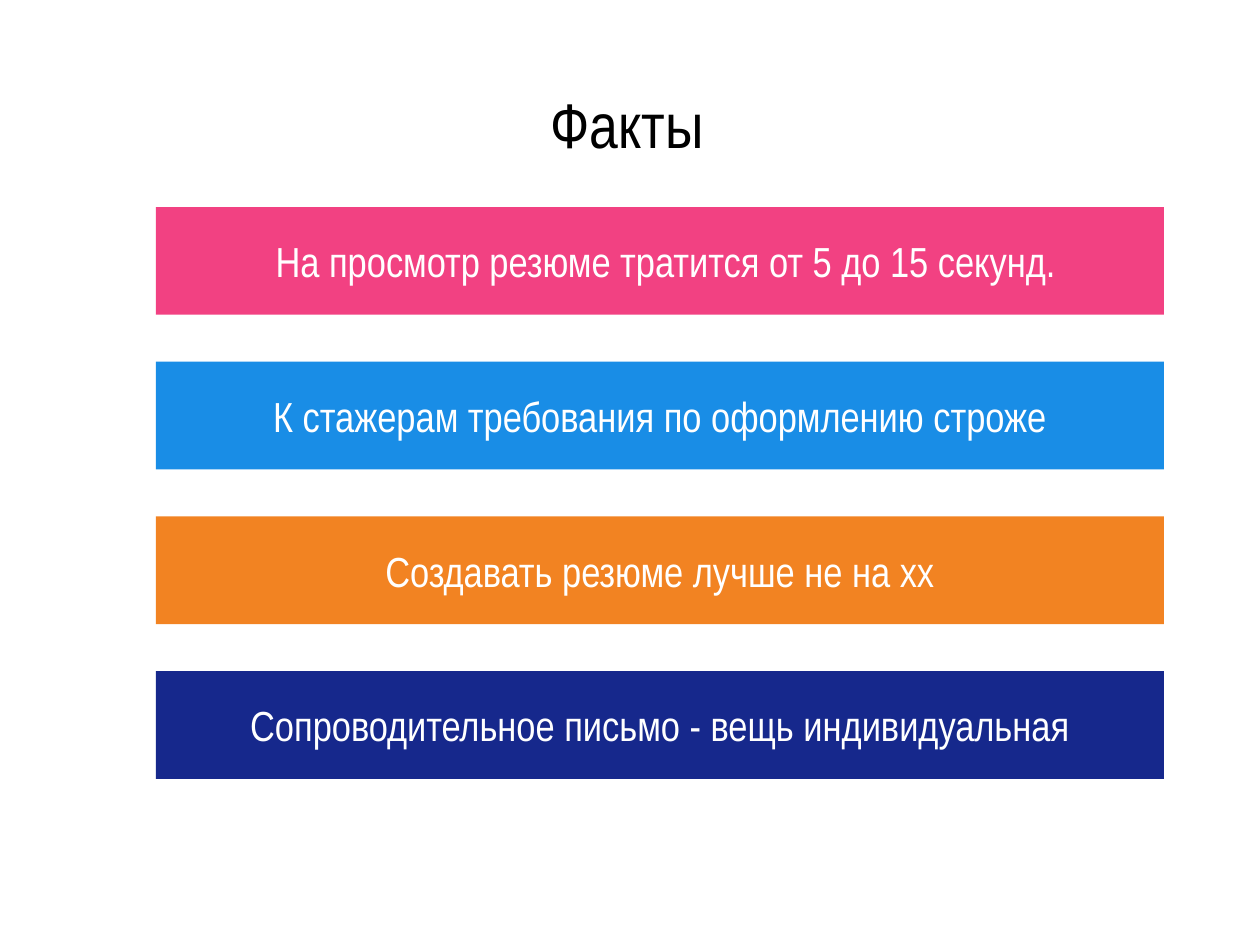
import pptx
import pptx.dml.color
import pptx.enum.shapes
import pptx.enum.text
import pptx.util

EMU_PER_PX = 914400 / 168

THEME = {
    "font": "Arial Narrow",
    "title_size": 27,
    "fact_size": 18,
    "title_color": "000000",
    "fact_color": "FFFFFF",
}

# Wording, bar colour and left indent of each fact, from top to bottom
FACTS = [
    ("На просмотр резюме тратится от 5 до 15 секунд.", "F24182", 12),
    ("К стажерам требования по оформлению строже", "198DE6", 0),
    ("Создавать резюме лучше не на хх", "F28322", 0),
    ("Сопроводительное письмо - вещь индивидуальная", "16288C", 0),
]


def px(length):
    return pptx.util.Emu(round(length * EMU_PER_PX))


def rgb(code):
    return pptx.dml.color.RGBColor.from_string(code)


def set_all(target, values):
    for attribute, value in values.items():
        setattr(target, attribute, value)


def write_text(shape, wording, size, color, inset):
    frame = shape.text_frame
    frame.text = wording
    set_all(frame, {
        "word_wrap": True,
        "auto_size": pptx.enum.text.MSO_AUTO_SIZE.NONE,
        "vertical_anchor": pptx.enum.text.MSO_ANCHOR.MIDDLE,
        "margin_left": px(inset),
        "margin_top": px(inset),
        "margin_right": px(inset),
        "margin_bottom": px(inset),
    })
    paragraph = frame.paragraphs[0]
    paragraph.alignment = pptx.enum.text.PP_ALIGN.CENTER
    font = paragraph.runs[0].font
    set_all(font, {"name": THEME["font"], "size": pptx.util.Pt(size), "bold": False})
    font.color.rgb = rgb(color)
    return paragraph


def place_heading(slide, left, top, width, height):
    heading = slide.shapes.title
    set_all(heading, {"left": px(left), "top": px(top),
                      "width": px(width), "height": px(height)})
    write_text(heading, "Факты", THEME["title_size"], THEME["title_color"], 17)


def place_facts(slide, left, top, width, height, gap=47):
    bar_height = (height - gap * (len(FACTS) - 1)) / len(FACTS)
    for row, (wording, fill, indent) in enumerate(FACTS):
        bar = slide.shapes.add_shape(
            pptx.enum.shapes.MSO_SHAPE.RECTANGLE,
            px(left), px(top + row * (bar_height + gap)), px(width), px(bar_height))
        bar.shadow.inherit = False
        bar.fill.solid()
        bar.fill.fore_color.rgb = rgb(fill)
        bar.line.fill.background()
        paragraph = write_text(bar, wording, THEME["fact_size"], THEME["fact_color"], 12)
        if indent:
            properties = paragraph._p.get_or_add_pPr()
            properties.set("marL", str(px(indent)))
            properties.set("indent", "0")


def main():
    deck = pptx.Presentation()
    set_all(deck, {"slide_width": px(1260), "slide_height": px(945)})
    slide = deck.slides.add_slide(deck.slide_layouts.get_by_name("Title Only"))

    # Heading
    place_heading(slide, 40, 46, 1174, 155)
    # Stack of coloured facts
    place_facts(slide, 156, 207, 1008, 572)

    deck.save("out.pptx")


if __name__ == "__main__":
    main()
